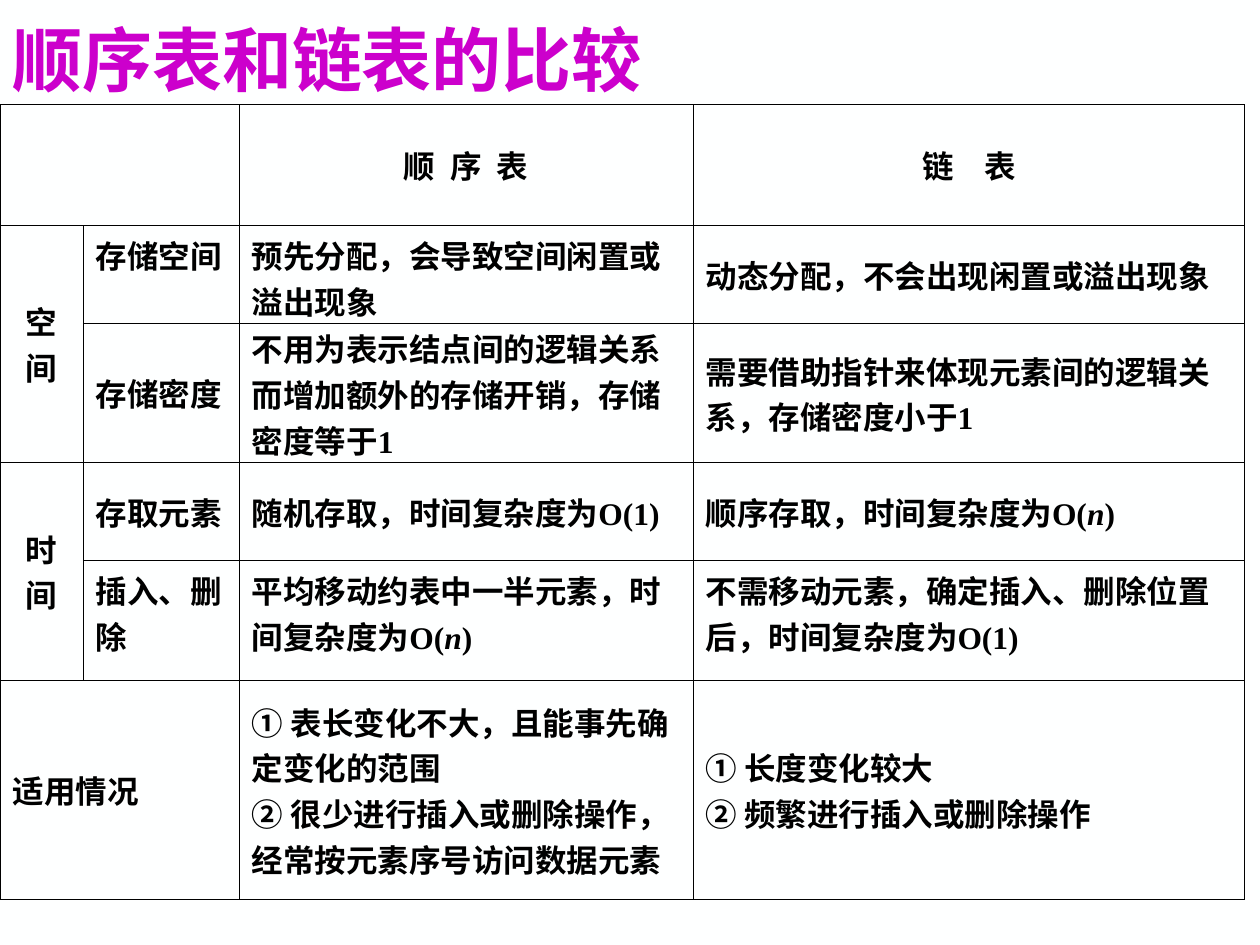
import pptx
import pptx.dml.color
import pptx.enum.text
import pptx.oxml
import pptx.oxml.ns
import pptx.util

INK, PAPER, MAGENTA = "000000", "FEFFFF", "CC00CC"
CJK_FONT, LATIN_FONT = "Noto Sans CJK SC", "Times New Roman"
NAMESPACE = pptx.oxml.ns.nsdecls("a")
CENTER = pptx.enum.text.PP_ALIGN.CENTER
MIDDLE = pptx.enum.text.MSO_ANCHOR.MIDDLE
TOP = pptx.enum.text.MSO_ANCHOR.TOP


def color(value):
    return pptx.dml.color.RGBColor.from_string(value)


def style(paragraph, latin, size, ink):
    font = paragraph.font
    font.name, font.size, font.bold = latin, pptx.util.Pt(size), True
    font.color.rgb = color(ink)
    east_asian = f'<a:ea {NAMESPACE} typeface="{CJK_FONT}"/>'
    font._element.append(pptx.oxml.parse_xml(east_asian))


presentation = pptx.Presentation()
presentation.slide_width = pptx.util.Inches(10)
presentation.slide_height = pptx.util.Inches(7.5)
slide = presentation.slides.add_slide(presentation.slide_layouts[6])
slide.background.fill.solid()
slide.background.fill.fore_color.rgb = color(PAPER)

# Comparison table: column widths and row heights in inches
columns = [0.66, 1.24, 3.6, 4.38]
rows = [0.96, 0.78, 1.1, 0.78, 0.95, 1.74]
table = slide.shapes.add_table(
    len(rows), len(columns), 0, pptx.util.Inches(0.83),
    pptx.util.Inches(sum(columns)), pptx.util.Inches(sum(rows))).table
table.first_row = table.horz_banding = False
for column, width in zip(table.columns, columns):
    column.width = pptx.util.Inches(width)
for row, height in zip(table.rows, rows):
    row.height = pptx.util.Inches(height)

# Every cell has the same fill and thin border
for cell in table.iter_cells():
    cell.fill.solid()
    cell.fill.fore_color.rgb = color(PAPER)
    for index, side in enumerate(["lnL", "lnR", "lnT", "lnB"]):
        cell._tc.tcPr.insert(index, pptx.oxml.parse_xml(
            f'<a:{side} {NAMESPACE} w="{pptx.util.Pt(0.45)}"><a:solidFill>'
            f'<a:srgbClr val="{INK}"/></a:solidFill></a:{side}>'))

# The two fullest cells get tight margins so that their rows keep their height
for r, margin in [(1, 0.05), (2, 0.01)]:
    table.cell(r, 2).margin_top = pptx.util.Inches(margin)
    table.cell(r, 2).margin_bottom = 0

# Merged headings: first and last cell as (row, column)
for first, last in [((0, 0), (0, 1)), ((1, 0), (2, 0)),
                    ((3, 0), (4, 0)), ((5, 0), (5, 1))]:
    table.cell(*first).merge(table.cell(*last))

# Cell wording: a newline starts a paragraph, asterisks enclose italics
wording = [
    ["", "", "顺 序 表", "链 表"],
    ["空间", "存储空间", "预先分配，会导致空间闲置或溢出现象",
     "动态分配，不会出现闲置或溢出现象"],
    ["", "存储密度",
     "不用为表示结点间的逻辑关系而增加额外的存储开销，存储密度等于1",
     "需要借助指针来体现元素间的逻辑关系，存储密度小于1"],
    ["时间", "存取元素", "随机存取，时间复杂度为O(1)",
     "顺序存取，时间复杂度为O(*n*)"],
    ["", "插入、删除", "平均移动约表中一半元素，时间复杂度为O(*n*)",
     "不需移动元素，确定插入、删除位置后，时间复杂度为O(1)"],
    ["适用情况", "",
     "① 表长变化不大，且能事先确定变化的范围\n"
     "② 很少进行插入或删除操作，经常按元素序号访问数据元素",
     "① 长度变化较大\n② 频繁进行插入或删除操作"],
]
top_cells = [(1, 1), (4, 1), (4, 2), (4, 3)]
letter_spacing = {(0, 2): 2.25, (0, 3): 6.75}  # points

for r, texts in enumerate(wording):
    for c, text in enumerate(texts):
        if not text:
            continue
        cell = table.cell(r, c)
        cell.vertical_anchor = TOP if (r, c) in top_cells else MIDDLE
        for number, line in enumerate(text.split("\n")):
            frame = cell.text_frame
            paragraph = frame.add_paragraph() if number else frame.paragraphs[0]
            if r == 0 or text in ("空间", "时间"):
                paragraph.alignment = CENTER
            style(paragraph, LATIN_FONT, 18, INK)
            for part, piece in enumerate(line.split("*")):
                run = paragraph.add_run()
                run.text = piece
                if part % 2:
                    run.font.italic = True
                if (r, c) in letter_spacing:
                    spacing = round(letter_spacing[r, c] * 100)
                    run.font._element.set("spc", str(spacing))

# Title
title = slide.shapes.add_textbox(
    0, pptx.util.Inches(0.09), pptx.util.Inches(5.47), pptx.util.Inches(0.75))
title.text_frame.word_wrap = True
title.text_frame.vertical_anchor = MIDDLE
title.text_frame.text = "顺序表和链表的比较"
style(title.text_frame.paragraphs[0], CJK_FONT, 40, MAGENTA)

presentation.save("out.pptx")
